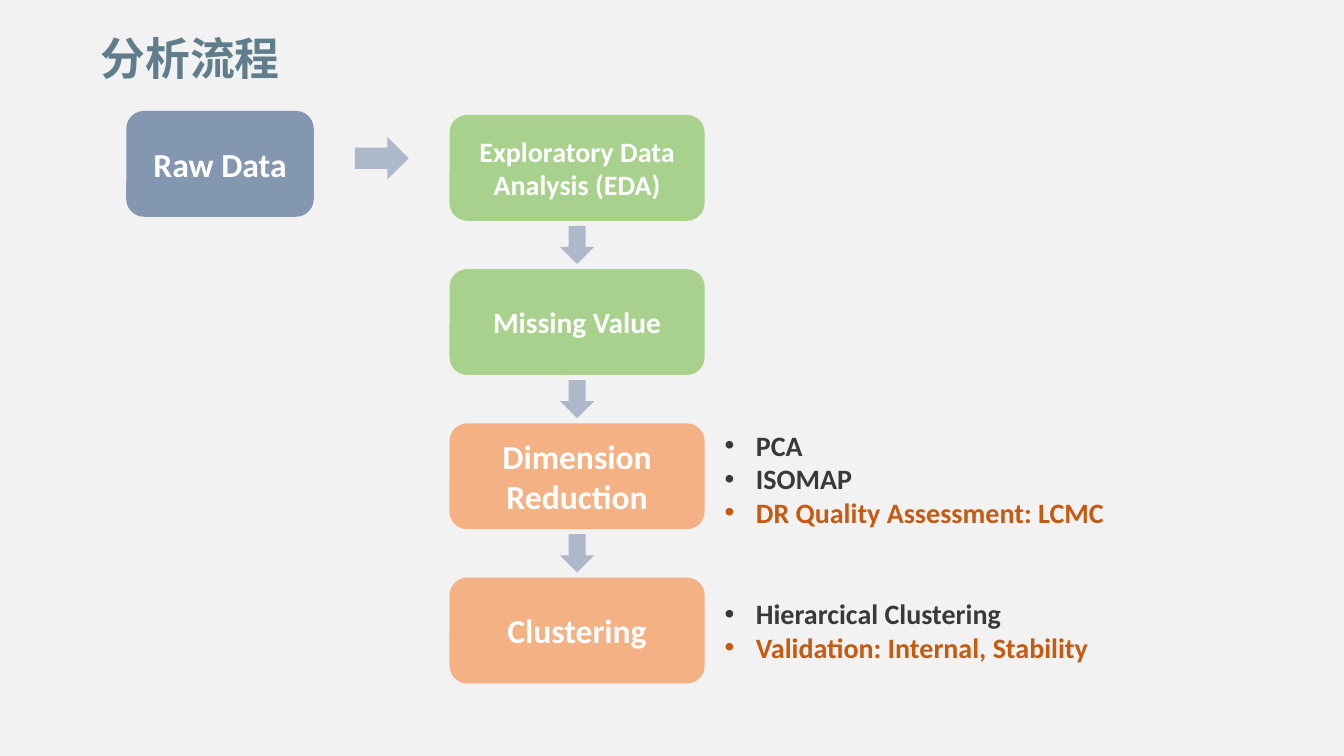
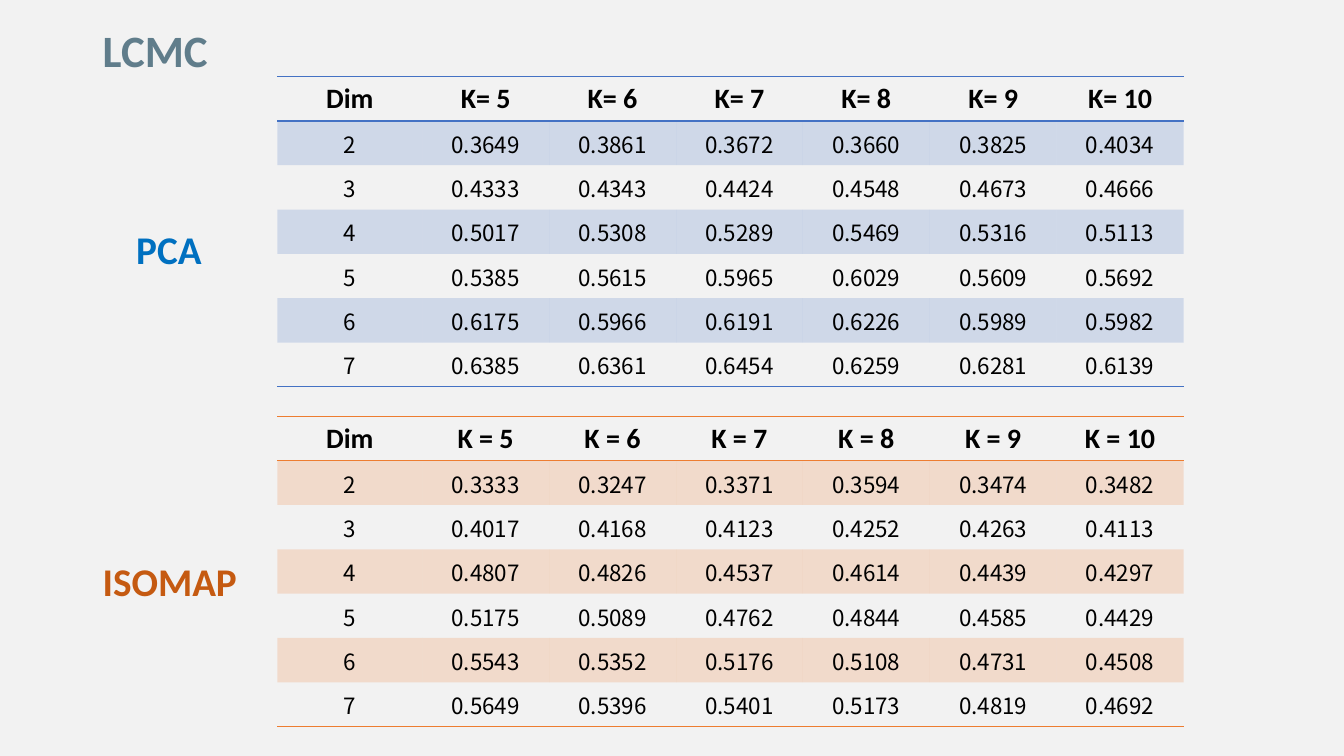
from lxml import etree
from pptx import Presentation
from pptx.dml.color import RGBColor
from pptx.enum.shapes import MSO_SHAPE as Preset
from pptx.enum.text import MSO_ANCHOR as Anchor, PP_ALIGN as Align
from pptx.oxml.ns import qn
from pptx.util import Emu, Inches, Pt

WIDTH, HEIGHT = Inches(13.333), Inches(7.5)
LATIN, CJK = "Calibri", "Noto Sans CJK SC"
PAPER, TITLE, WHITE, BLACK, INK = "F2F2F2", "607D8B", "FFFFFF", "000000", "3B3838"
SLATE, ARROW, GREEN, PEACH = "8497B0", "ADB9CA", "A9D18E", "F4B183"
BLUE, ORANGE, PCA_BLUE, RUST = "4472C4", "ED7D31", "0070C0", "C55A11"
PLAIN_TABLE = "{2D5ABB26-0587-4C30-8999-92F81FD0307C}"

STEPS = [
    ("Exploratory Data Analysis (EDA)", GREEN, 20),
    ("Missing Value", GREEN, 21),
    ("Dimension Reduction", PEACH, 24),
    ("Clustering", PEACH, 24),
]
# step index: (drop below the step's top, height, lines)
NOTES = {
    2: (0, 14.8, [("PCA", INK), ("ISOMAP", INK), ("DR Quality Assessment: LCMC", RUST)]),
    3: (1.87, 10.27, [("Hierarcical Clustering", INK), ("Validation: Internal, Stability", RUST)]),
}
PCA_SCORES = [
    "2 0.3649 0.3861 0.3672 0.3660 0.3825 0.4034",
    "3 0.4333 0.4343 0.4424 0.4548 0.4673 0.4666",
    "4 0.5017 0.5308 0.5289 0.5469 0.5316 0.5113",
    "5 0.5385 0.5615 0.5965 0.6029 0.5609 0.5692",
    "6 0.6175 0.5966 0.6191 0.6226 0.5989 0.5982",
    "7 0.6385 0.6361 0.6454 0.6259 0.6281 0.6139",
]
ISOMAP_SCORES = [
    "2 0.3333 0.3247 0.3371 0.3594 0.3474 0.3482",
    "3 0.4017 0.4168 0.4123 0.4252 0.4263 0.4113",
    "4 0.4807 0.4826 0.4537 0.4614 0.4439 0.4297",
    "5 0.5175 0.5089 0.4762 0.4844 0.4585 0.4429",
    "6 0.5543 0.5352 0.5176 0.5108 0.4731 0.4508",
    "7 0.5649 0.5396 0.5401 0.5173 0.4819 0.4692",
]


def place(left, top, width, height):
    """Turn percentages of the slide's size into lengths."""
    return [Emu(round(share * side / 100))
            for share, side in zip((left, top, width, height), (WIDTH, HEIGHT) * 2)]


def paint(fill, color):
    fill.solid()
    fill.fore_color.rgb = RGBColor.from_string(color)


def write(frame, lines, size, color=BLACK, font=LATIN, bold=True,
          align=Align.LEFT, anchor=Anchor.TOP, bullet=False):
    """Fill a frame with one string, or with (text, color) paragraphs."""
    frame.word_wrap = True
    frame.vertical_anchor = anchor
    if isinstance(lines, str):
        lines = [(lines, color)]
    for index, (text, ink) in enumerate(lines):
        para = frame.paragraphs[0] if index == 0 else frame.add_paragraph()
        para.alignment = align
        if bullet:
            props = para._p.get_or_add_pPr()
            props.set("marL", str(Inches(0.31)))
            props.set("indent", str(-Inches(0.31)))
            etree.SubElement(props, qn("a:buFont")).set("typeface", "Arial")
            etree.SubElement(props, qn("a:buChar")).set("char", "•")
        run = para.add_run()
        run.text = text
        run.font.size, run.font.bold, run.font.name = Pt(size), bold, font
        paint(run.font.fill, ink)
        etree.SubElement(run._r.get_or_add_rPr(), qn("a:ea")).set("typeface", font)


def add_text(slide, box, lines, size, **style):
    write(slide.shapes.add_textbox(*place(*box)).text_frame, lines, size, **style)


def add_title(slide, box, text, **style):
    add_text(slide, box, text, 32, color=TITLE, **style)


def add_block(slide, preset, box, color):
    block = slide.shapes.add_shape(preset, *place(*box))
    block.shadow.inherit = False
    paint(block.fill, color)
    block.line.fill.background()
    return block


def add_step(slide, box, text, color, size):
    step = add_block(slide, Preset.ROUNDED_RECTANGLE, box, color)
    write(step.text_frame, text, size, color=WHITE, align=Align.CENTER, anchor=Anchor.MIDDLE)


def add_pipeline(slide, left, top, width, height, pitch):
    """Stack the steps, with an arrow in each gap and notes to the right."""
    arrow_width, arrow_height = 2.85, 4.53
    for index, (text, color, size) in enumerate(STEPS):
        step_top = top + index * pitch
        add_step(slide, (left, step_top, width, height), text, color, size)
        if index:
            gap_middle = step_top - (pitch - height) / 2
            arrow = add_block(slide, Preset.RIGHT_ARROW,
                              (left + (width - arrow_width) / 2, gap_middle - arrow_height / 2,
                               arrow_width, arrow_height), ARROW)
            arrow.rotation = 90
        if index in NOTES:
            drop, note_height, lines = NOTES[index]
            add_text(slide, (left + width + 0.75, step_top + drop, 29.85, note_height),
                     lines, 20, bullet=True)


def add_border(cell, side, color):
    line = etree.SubElement(cell._tc.get_or_add_tcPr(), qn(f"a:ln{side}"), w=str(Pt(1)))
    solid = etree.SubElement(line, qn("a:solidFill"))
    etree.SubElement(solid, qn("a:srgbClr"), val=color)


def add_band(cell, color):
    paint(cell.fill, color)
    tint = cell._tc.tcPr.find(".//" + qn("a:srgbClr"))
    etree.SubElement(tint, qn("a:alpha"), val="20000")


def add_scores(slide, box, header, scores, color):
    """Table ruled above and below, with every second row tinted."""
    rows = [header] + [line.split() for line in scores]
    left, top, width, height = place(*box)
    grid = slide.shapes.add_table(len(rows), len(header), left, top, width, height)
    table = grid.table
    table._tbl.tblPr.find(qn("a:tableStyleId")).text = PLAIN_TABLE
    for index, column in enumerate(table.columns):
        column.width = Emu(round(width * (0.14 if index else 0.16)))
    for r, row in enumerate(rows):
        table.rows[r].height = Emu(round(height / len(rows)))
        style = dict(size=16, font=CJK, bold=False) if r else dict(size=20)
        sides = "TB" if r == 0 else "B" if r == len(rows) - 1 else ""
        for c, text in enumerate(row):
            cell = table.cell(r, c)
            cell.margin_left = cell.margin_right = cell.margin_top = Inches(0.01)
            cell.margin_bottom = 0
            cell.vertical_anchor = Anchor.MIDDLE
            for side in sides:
                add_border(cell, side, color)
            if r % 2:
                add_band(cell, color)
            else:
                cell.fill.background()
            para = cell.text_frame
            write_cell(para, text, style)


def write_cell(frame, text, style):
    """Write centred text; a cell's own anchor and wrapping stay as set."""
    write(frame, text, align=Align.CENTER, anchor=None, **style)
    body = frame._txBody.bodyPr
    body.attrib.pop("wrap", None)


def build_process(slide):
    add_title(slide, (5, 3.33, 18.3, 8.53), "分析流程", font=CJK,
              align=Align.CENTER, anchor=Anchor.MIDDLE)
    add_step(slide, (9.4, 14.67, 13.95, 14), "Raw Data", SLATE, 24)
    add_block(slide, Preset.RIGHT_ARROW, (26.4, 18.13, 4, 5.6), ARROW)
    add_pipeline(slide, 33.45, 15.2, 18.98, 14, pitch=20.4)


def build_lcmc(slide):
    add_title(slide, (6.9, 2.4, 19.28, 8.53), "LCMC")
    for name, ink, label_left, label_top, table_top, equals, scores, color in (
            ("PCA", PCA_BLUE, 9.4, 29.2, 10.13, "=", PCA_SCORES, BLUE),
            ("ISOMAP", RUST, 6.9, 73.07, 55.07, " =", ISOMAP_SCORES, ORANGE)):
        header = ["Dim"] + [f"K{equals} {k}" for k in range(5, 11)]
        add_scores(slide, (20.63, table_top, 67.43, 41.07), header, scores, color)
        add_text(slide, (label_left, label_top, 19.28, 7.6), name, 28, color=ink)


def main():
    prs = Presentation()
    prs.slide_width, prs.slide_height = WIDTH, HEIGHT
    paint(prs.slide_master.background.fill, PAPER)
    for build in (build_process, build_lcmc):
        build(prs.slides.add_slide(prs.slide_layouts[6]))
    prs.save("out.pptx")


if __name__ == "__main__":
    main()
